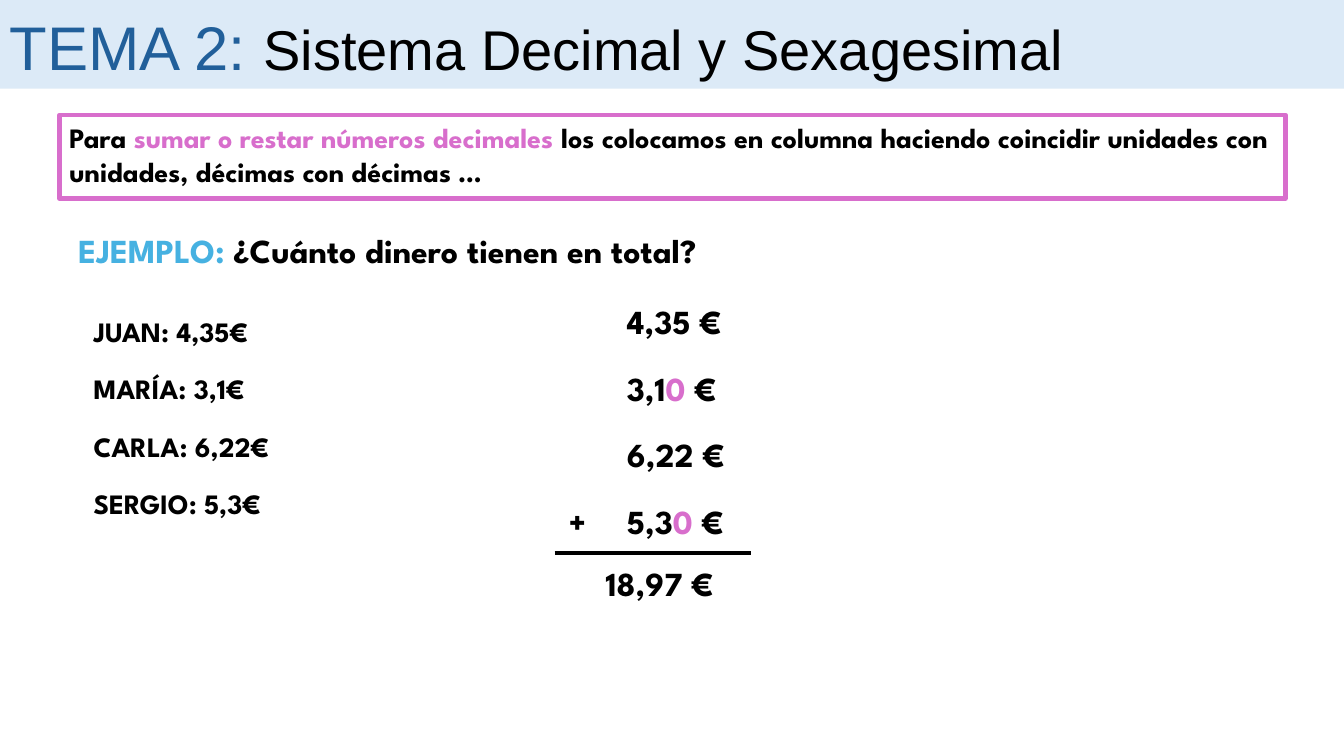
from lxml.etree import SubElement
from pptx import Presentation
from pptx.dml.color import RGBColor
from pptx.enum.shapes import MSO_CONNECTOR, MSO_SHAPE
from pptx.enum.text import MSO_AUTO_SIZE
from pptx.oxml.ns import qn
from pptx.util import Inches, Pt

COLORS = {
    "black": "000000",
    "pink": "D86ECC",
    "sky": "46B1E1",
    "navy": "215F9A",
    "band": "DCEAF7",
}


class LessonPage:
    """Draws the elements of a lesson slide in one shared style."""

    def __init__(self, page):
        self.page = page
        self.format = {"name": "League Spartan", "bold": True}

    def color(self, name):
        return RGBColor.from_string(COLORS[name])

    def text(self, left, top, width, height, spans, size, **changes):
        box = self.page.shapes.add_textbox(
            Inches(left), Inches(top), Inches(width), Inches(height))
        frame = box.text_frame
        frame.word_wrap = True
        frame.auto_size = MSO_AUTO_SIZE.SHAPE_TO_FIT_TEXT
        para = frame.paragraphs[0]
        for words, color, *own_size in spans:
            span = para.add_run()
            span.text = words
            values = {**self.format, "size": Pt(own_size[0] if own_size else size), **changes}
            for attribute, value in values.items():
                setattr(span.font, attribute, value)
            span.font.color.rgb = self.color(color)

    def rectangle(self, left, top, width, height, fill=None, line=None):
        shape = self.page.shapes.add_shape(
            MSO_SHAPE.RECTANGLE, Inches(left), Inches(top), Inches(width), Inches(height))
        shape.shadow.inherit = False
        if fill:
            shape.fill.solid()
            shape.fill.fore_color.rgb = self.color(fill)
        else:
            shape.fill.background()
        if line:
            shape.line.color.rgb = self.color(line)
            shape.line.width = Pt(3)
        else:
            shape.line.fill.background()

    def rule(self, left, right, top):
        line = self.page.shapes.add_connector(
            MSO_CONNECTOR.STRAIGHT, Inches(left), Inches(top), Inches(right), Inches(top))
        line.line.color.rgb = self.color("black")
        line.line.width = Pt(3)
        SubElement(line._element.spPr, qn("a:effectLst"))


def main():
    deck = Presentation()
    deck.slide_width, deck.slide_height = Inches(13.33), Inches(7.5)
    lesson = LessonPage(deck.slides.add_slide(deck.slide_layouts[6]))

    lesson.rectangle(0.59, 1.14, 12.16, 0.83, line="pink")
    lesson.text(0.59, 1.15, 12.16, 0.77, [
        ("Para ", "black"),
        ("sumar o restar números decimales ", "pink"),
        ("los colocamos en columna haciendo coincidir unidades con unidades, "
         "décimas con décimas …", "black"),
    ], 20)
    lesson.text(0.68, 2.23, 10.31, 0.5, [
        ("EJEMPLO: ", "sky"), ("¿Cuánto dinero tienen en total?", "black")], 24)

    savings = ["JUAN: 4,35€", "MARÍA: 3,1€", "CARLA: 6,22€", "SERGIO: 5,3€"]
    for row, saving in enumerate(savings):
        lesson.text(0.83, 3.07 + 0.57 * row, 2.87, 0.44, [(saving, "black")], 20)

    addends = [
        [("4,35 €", "black")],
        [("3,1", "black"), ("0", "pink"), (" €", "black")],
        [("6,22 €", "black")],
        [("5,3", "black"), ("0", "pink"), (" €", "black")],
    ]
    for row, addend in enumerate(addends):
        lesson.text(6.12, 2.94 + 0.66 * row, 1.54, 0.5, addend, 24)

    lesson.rule(5.5, 7.45, 5.49)
    lesson.text(5.54, 4.92, 0.69, 0.5, [("+", "black")], 24)
    lesson.text(5.91, 5.54, 2, 0.5, [("18,97 €", "black")], 24)

    lesson.rectangle(0, 0, 13.33, 0.88, fill="band")
    lesson.text(0, 0.04, 11.85, 0.84, [
        ("TEMA 2: ", "navy", 44), ("Sistema Decimal y Sexagesimal", "black")],
        40, name="Arial", bold=False)

    deck.save("out.pptx")


if __name__ == "__main__":
    main()
